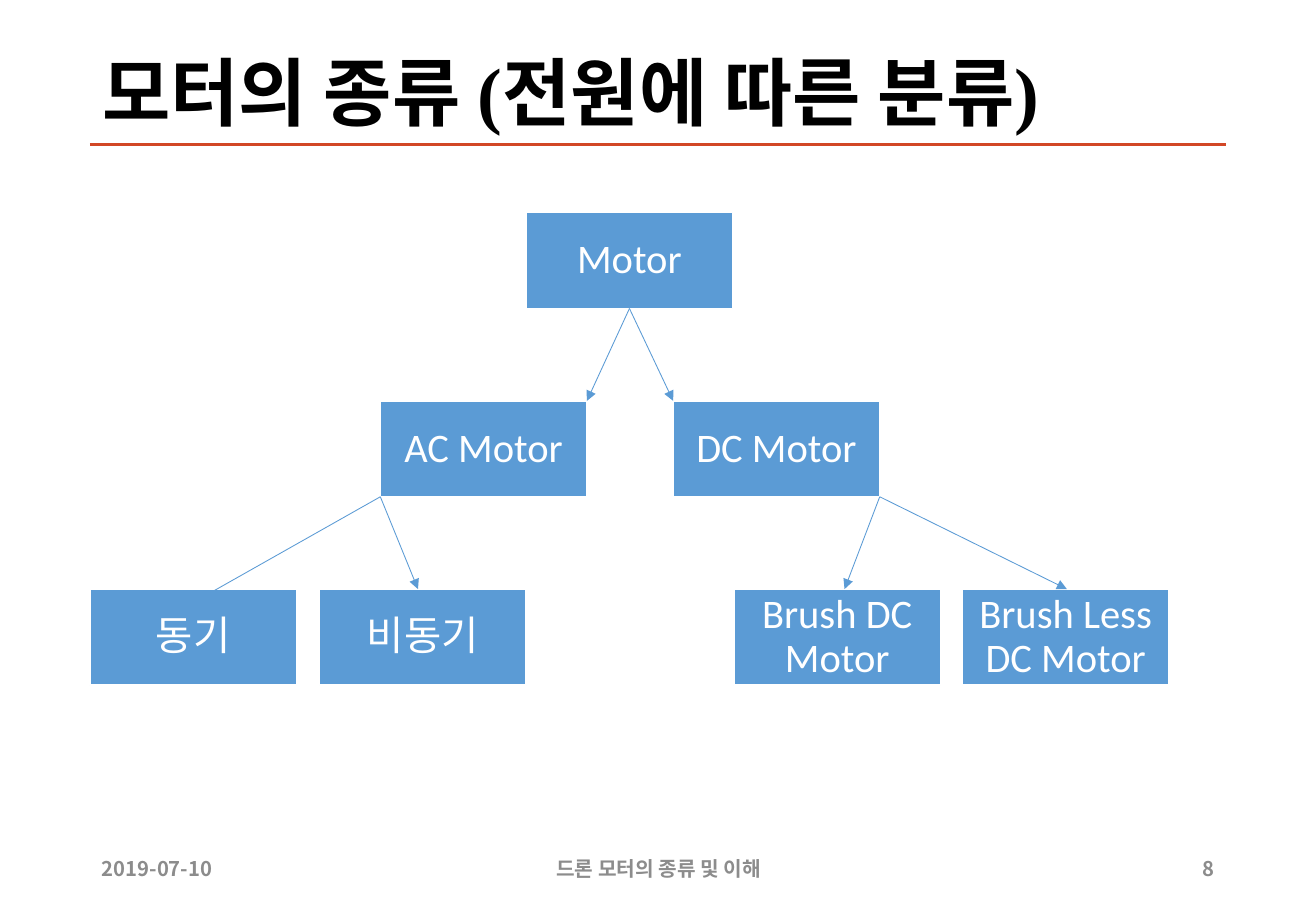
"""Build a slide with a tree of motor types by power source."""
from lxml import etree
from pptx import Presentation, util as u
from pptx.dml.color import RGBColor
from pptx.enum import shapes, text
from pptx.oxml.ns import qn

KOREAN = "Noto Sans CJK KR"
BLUE, WHITE, GRAY = "5B9BD5", "FFFFFF", "8C8C8C"
MARGIN, CONTENT_W = 0.74, 9.35
BOX_W, BOX_H = 1.7, 0.79
TOP, ROW_STEP = 1.75, 1.55


def write(frame, words, size, font, color, align, bold=False, spacing=1.0):
    """Put one formatted run into a vertically centred frame."""
    frame.word_wrap = True
    frame.auto_size = text.MSO_AUTO_SIZE.NONE
    frame.vertical_anchor = text.MSO_ANCHOR.MIDDLE
    para = frame.paragraphs[0]
    para.alignment = align
    para.line_spacing = spacing
    span = para.add_run()
    span.text = words
    span.font.size = u.Pt(size)
    span.font.name = font
    span.font.bold = bold
    span.font.color.rgb = RGBColor.from_string(color)
    east_asian = etree.SubElement(span.font._element, qn("a:ea"))
    east_asian.set("typeface", KOREAN)


def connect(start, end, color, width, arrow=True):
    """Draw a straight line, with a triangle at its end if asked."""
    line = page.shapes.add_connector(
        shapes.MSO_CONNECTOR.STRAIGHT, *(u.Inches(v) for v in (*start, *end)))
    line.line.color.rgb = RGBColor.from_string(color)
    line.line.width = u.Pt(width)
    if arrow:
        tail = etree.SubElement(line.line._get_or_add_ln(), qn("a:tailEnd"))
        tail.set("type", "triangle")
    etree.SubElement(line._element.spPr, qn("a:effectLst"))


deck = Presentation()
deck.slide_width, deck.slide_height = u.Inches(10.83), u.Inches(7.5)
page = deck.slides.add_slide(deck.slide_layouts[5])

connect((MARGIN, 1.19), (MARGIN + CONTENT_W, 1.19), "D24726", 2, arrow=False)

title = page.shapes.title
title.left, title.top = u.Inches(MARGIN), u.Inches(0.4)
title.width, title.height = u.Inches(CONTENT_W), u.Inches(0.79)
write(title.text_frame, "모터의 종류 (전원에 따른 분류)", 44, "Times New Roman",
      "000000", text.PP_ALIGN.LEFT, bold=True, spacing=0.9)

footers = [
    ("2019-07-10", MARGIN, 1.27, text.PP_ALIGN.LEFT),
    ("드론 모터의 종류 및 이해", 3.59, 3.66, text.PP_ALIGN.CENTER),
    ("8", 9.56, 0.53, text.PP_ALIGN.RIGHT),
]
for words, left, width, align in footers:
    footer = page.shapes.add_textbox(
        u.Inches(left), u.Inches(6.95), u.Inches(width), u.Inches(0.4))
    write(footer.text_frame, words, 12, KOREAN, GRAY, align, bold=True)

motors = [
    ("Motor", 4.33, 0),
    ("AC Motor", 3.13, 1),
    ("DC Motor", 5.54, 1),
    ("동기", MARGIN, 2),
    ("비동기", 2.63, 2),
    ("Brush DC Motor", 6.04, 2),
    ("Brush Less DC Motor", 7.92, 2),
]
for words, left, row in motors:
    box = page.shapes.add_shape(
        shapes.MSO_SHAPE.RECTANGLE, u.Inches(left), u.Inches(TOP + row * ROW_STEP),
        u.Inches(BOX_W), u.Inches(BOX_H))
    box.shadow.inherit = False
    box.fill.solid()
    box.fill.fore_color.rgb = RGBColor.from_string(BLUE)
    box.line.color.rgb = RGBColor.from_string(WHITE)
    box.line.width = u.Pt(1)
    frame = box.text_frame
    frame.margin_left = frame.margin_right = u.Inches(0.04)
    frame.margin_top = frame.margin_bottom = u.Inches(0.04)
    write(frame, words, 24, "Calibri", WHITE, text.PP_ALIGN.CENTER, spacing=0.9)

row_tops = [TOP + row * ROW_STEP for row in range(3)]
branches = [
    (5.18, 0, 4.83, row_tops[1]),
    (5.18, 0, 5.54, row_tops[1]),
    (3.13, 1, 1.59, row_tops[2] + 0.11),
    (3.13, 1, 3.44, row_tops[2]),
    (7.24, 1, 6.95, row_tops[2]),
    (7.24, 1, 8.78, row_tops[2]),
]
for start_x, row, end_x, end_y in branches:
    connect((start_x, row_tops[row] + BOX_H), (end_x, end_y), BLUE, 0.5)

deck.save("out.pptx")
